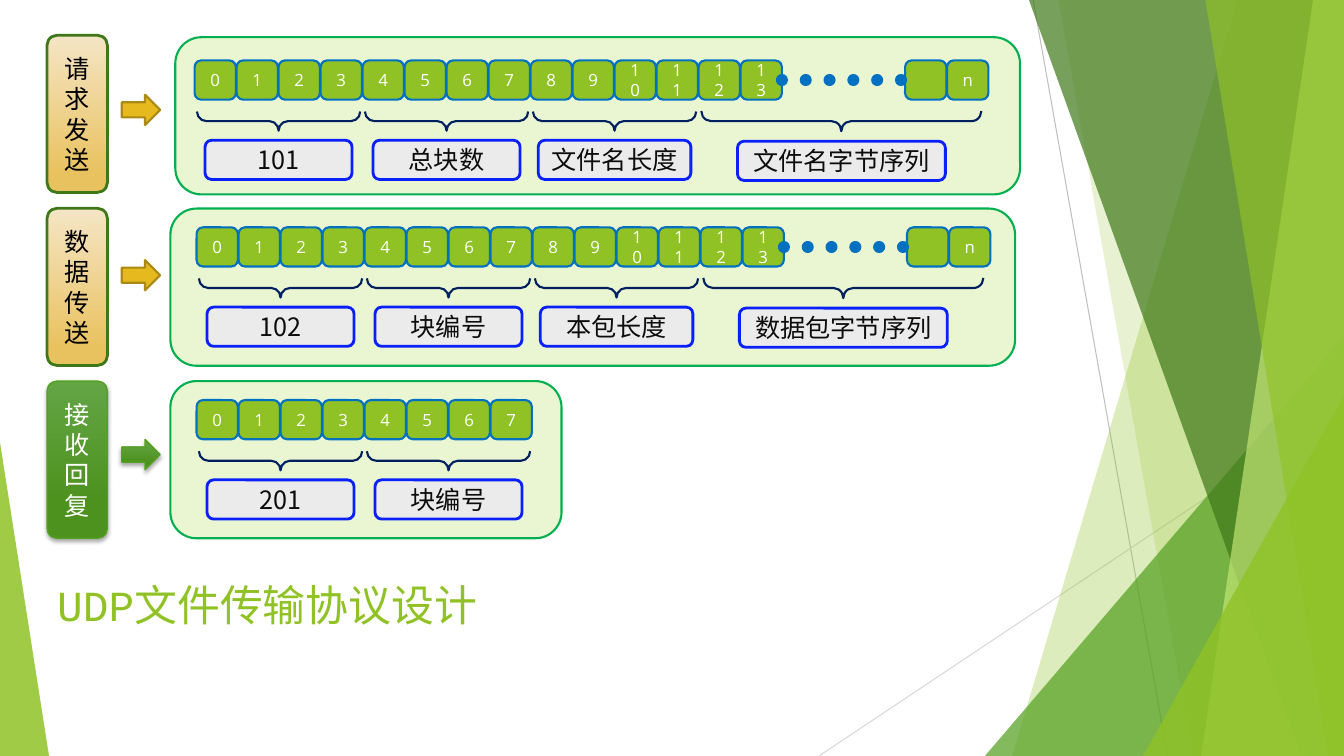
import pptx
import pptx.dml.color
import pptx.enum.dml
import pptx.enum.shapes
import pptx.enum.text
import pptx.oxml
import pptx.oxml.ns
import pptx.util

Pt = pptx.util.Pt
KIND = pptx.enum.shapes.MSO_SHAPE
ALIGN = pptx.enum.text.PP_ALIGN
NS = pptx.oxml.ns.nsdecls("a")
WIDE, HIGH = 960, 540
PITCH, CELL = 30, 29.5
SAND, LEAF = ("F5E5C5", "E9C260", 0.88), ("63A545", "4D921E", 0.78)


def rgb(code):
    return pptx.dml.color.RGBColor.from_string(code)


def add_xml(node, text):
    node.append(pptx.oxml.parse_xml(text))


class Board:
    sans, cjk, mono = "Open Sans", "Noto Sans CJK SC", "Courier New"

    def __init__(self, slide):
        self.shapes = slide.shapes

    def style(self, shape, fill=None, line=None, alpha=100, glow=False):
        """Fill is a hex string or (top, bottom, end stop); line is (hex, width)."""
        shape.shadow.inherit = False
        if fill is None:
            shape.fill.background()
        elif isinstance(fill, tuple):
            shape.fill.gradient()
            shape.fill.gradient_angle = 270
            for stop, code, spot in zip(shape.fill.gradient_stops, fill, (0, fill[2])):
                stop.color.rgb, stop.position = rgb(code), spot
        else:
            shape.fill.solid()
            shape.fill.fore_color.rgb = rgb(fill)
            if alpha < 100:
                tint = shape._element.spPr.find(".//" + pptx.oxml.ns.qn("a:srgbClr"))
                add_xml(tint, f'<a:alpha {NS} val="{alpha * 1000}"/>')
        if line:
            shape.line.color.rgb, shape.line.width = rgb(line[0]), Pt(line[1])
        else:
            shape.line.fill.background()
        if glow:
            effect = shape._element.spPr.find(pptx.oxml.ns.qn("a:effectLst"))
            add_xml(effect, f'<a:outerShdw {NS} blurRad="{Pt(3)}" dist="{Pt(2)}" '
                    'dir="5400000" rotWithShape="0"><a:srgbClr val="000000">'
                    '<a:alpha val="35000"/></a:srgbClr></a:outerShdw>')

    def label(self, shape, text, size, face, color, align=ALIGN.CENTER):
        frame = shape.text_frame
        frame.word_wrap = True
        frame.text = text
        para = frame.paragraphs[0]
        para.alignment = align
        font = para.font
        font.size, font.name, font.color.rgb = Pt(size), face, rgb(color)
        add_xml(font._element, f'<a:ea {NS} typeface="{face}"/>')

    def shape(self, kind, x, y, w, h, adjust=(), **look):
        shape = self.shapes.add_shape(kind, Pt(x), Pt(y), Pt(w), Pt(h))
        for i, value in enumerate(adjust):
            shape.adjustments[i] = value
        self.style(shape, **look)
        return shape

    def box(self, x, y, w, h, text="", size=18, face=cjk, color="0D0D0D", **look):
        shape = self.shape(KIND.ROUNDED_RECTANGLE, x, y, w, h, **look)
        if text:
            self.label(shape, text, size, face, color)

    def cell(self, x, y, text):
        self.box(x, y, CELL, 28, text, 12, self.sans, "FFFFFF",
                 fill="90C226", line=("0070C0", 1.5))

    def field(self, mid, y, text, width, span, thick):
        """Brace turned to open upwards, with its label below."""
        brace = self.shape(KIND.LEFT_BRACE, mid - thick / 2, y + 43.3 - span / 2,
                           thick, span, (0.486, 0.5), line=("002060", 1.5))
        brace.rotation = 270
        self.box(mid - width / 2, y + 43.3 + thick, width, 28, text,
                 fill="EBEBEB", line=("0920FB", 2))

    def line(self, x1, y1, x2, y2, color, width, dots=False):
        link = self.shapes.add_connector(
            pptx.enum.shapes.MSO_CONNECTOR.STRAIGHT, Pt(x1), Pt(y1), Pt(x2), Pt(y2))
        link.line.color.rgb, link.line.width = rgb(color), Pt(width)
        if dots:
            link.line.dash_style = pptx.enum.dml.MSO_LINE.ROUND_DOT
            link._element.spPr.find(pptx.oxml.ns.qn("a:ln")).set("cap", "rnd")
        add_xml(link._element.spPr, f"<a:effectLst {NS}/>")

    def facet(self, top, left, right, color, alpha):
        """Band from the top edge to the bottom edge."""
        form = self.shapes.build_freeform(Pt(top[0]), 0)
        form.add_line_segments([(Pt(top[1]), 0), (Pt(right), Pt(HIGH)), (Pt(left), Pt(HIGH))])
        self.style(form.convert_to_shape(), color, alpha=alpha)

    def wedge(self, x, y, w, tip, color, alpha):
        self.shape(KIND.ISOSCELES_TRIANGLE, x, y, w, HIGH - y, (tip,), fill=color, alpha=alpha)

    def title(self, x, y, w, h, text):
        box = self.shapes.add_textbox(Pt(x), Pt(y), Pt(w), Pt(h))
        self.label(box, text, 30.6, self.mono, "90C226", ALIGN.LEFT)


deck = pptx.Presentation()
deck.slide_width, deck.slide_height = Pt(WIDE), Pt(HIGH)
board = Board(deck.slides.add_slide(deck.slide_layouts[6]))

# Backdrop
board.line(738, 0, 834, HIGH, "BFBFBF", 0.75)
board.line(WIDE, 290, 585, HIGH, "D9D9D9", 0.75)
board.facet((884, WIDE), 723, WIDE, "90C226", 30)
board.facet((756, WIDE), 852, WIDE, "90C226", 20)
board.wedge(703.5, 240, 256.5, 1, "54A021", 72)
board.facet((735, WIDE), 929.5, WIDE, "3F7819", 70)
board.facet((938, WIDE), 858, WIDE, "C0E474", 70)
board.facet((861, WIDE), 949, WIDE, "90C226", 65)
board.wedge(816.5, 283, 143.5, 1, "90C226", 80)
board.wedge(0, 316, 35, 0, "90C226", 85)

# Packets: tag, tag top, arrow top, panel (left, top, width), first cell, field names
packets = [
    ("请求发送", 25.2, 67.7, (125.2, 26.6, 603.4), (139, 43.2),
     ("101", "总块数", "文件名长度", "文件名字节序列")),
    ("数据传送", 148.8, 185.8, (121.7, 149, 603.4), (140.4, 162.4),
     ("102", "块编号", "本包长度", "数据包字节序列")),
    ("接收回复", 272.2, 313.9, (121.7, 272.2, 279.4), (140.4, 285.8),
     ("201", "块编号")),
]
# Fields: centre from first cell, label width, brace span and thickness
fields = [(2 * PITCH, 105, 116.6, 13.7), (6 * PITCH, 105, 116.6, 13.7),
          (10 * PITCH, 109, 116.6, 13.7), (462, 148.5, 200, 14.4)]

for tag, top, point, (left, head, wide), (x, y), names in packets:
    full = len(names) == 4
    board.box(left, head, wide, 112.3, fill="EAF6D1", line=("00B050", 1.5))
    # Byte cells
    for i in range(14 if full else 8):
        board.cell(x + i * PITCH, y, str(i))
    if full:
        for i, text in enumerate(("", "n")):
            board.cell(x + 507.5 + i * PITCH, y, text)
        board.line(x + 419.5, y + 14, x + 507.5, y + 14, "0070C0", 8.5, True)
    # Braces and labels
    for name, (mid, width, span, thick) in zip(names, fields):
        board.field(x + mid, y, name, width, span, thick)
    # Tag and arrow
    edge = ("54A021", 1)
    board.box(33.6, top, 43.2, 112.3, tag, color="000000" if full else "FFFFFF",
              fill=SAND if full else LEAF, line=("3F7819", 2) if full else edge,
              glow=not full)
    board.shape(KIND.RIGHT_ARROW, 87, point, 27.4, 21.6, fill="E6B91E" if full else LEAF,
                line=("AA8916", 1.5) if full else edge, glow=not full)

board.title(33.8, 409.7, 336.2, 42.5, "UDP文件传输协议设计")
deck.save("out.pptx")
